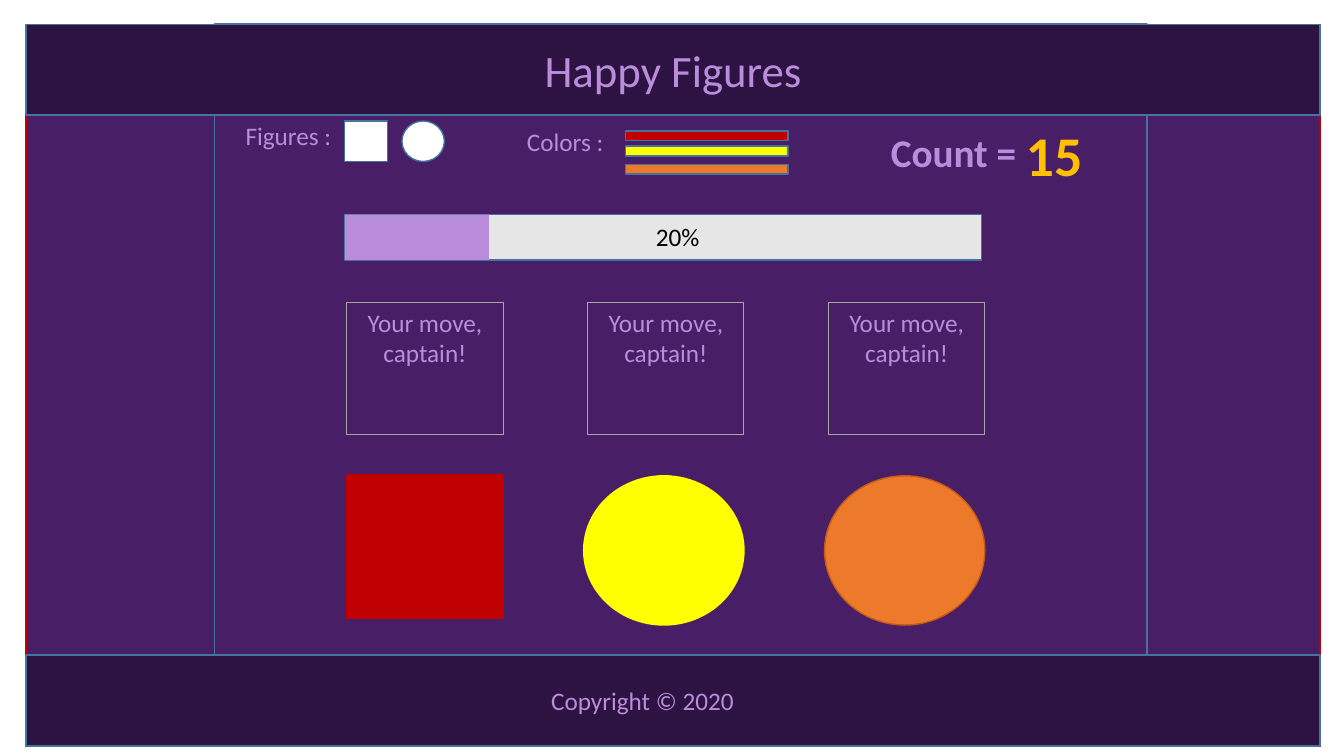
from dataclasses import dataclass
from typing import Optional

from pptx import Presentation
from pptx.dml.color import RGBColor
from pptx.enum.shapes import MSO_SHAPE
from pptx.enum.text import MSO_ANCHOR, MSO_AUTO_SIZE, PP_ALIGN
from pptx.util import Cm, Pt

RECTANGLE = MSO_SHAPE.RECTANGLE
OVAL = MSO_SHAPE.OVAL
TOP, MIDDLE = MSO_ANCHOR.TOP, MSO_ANCHOR.MIDDLE
LEFT, CENTER = PP_ALIGN.LEFT, PP_ALIGN.CENTER
NO_AUTOFIT = MSO_AUTO_SIZE.NONE

FONT = "Calibri"
TITLE_ONLY = 5
COLORS = {
    "purple": "481F67",
    "dark purple": "2D1341",
    "lilac": "BA8CDC",
    "blue": "43739E",
    "red": "C00000",
    "yellow": "FFFF00",
    "orange": "ED7A2B",
    "dark orange": "C55A11",
    "gold": "FFC000",
    "grey": "A6A6A6",
    "light grey": "E7E6E6",
    "white": "FFFFFF",
    "black": "000000",
}


@dataclass
class Box:
    """Position and size in centimetres."""
    left: float
    top: float
    width: float
    height: float

    def lengths(self) -> tuple:
        return Cm(self.left), Cm(self.top), Cm(self.width), Cm(self.height)


@dataclass
class Figure:
    box: Box
    fill: Optional[str] = None
    line: Optional[str] = "blue"
    kind: int = RECTANGLE
    line_width: float = 1


@dataclass
class Label:
    text: str
    box: Box
    size: int = 18
    color: str = "lilac"
    bold: bool = False


def rgb(name: str) -> RGBColor:
    return RGBColor.from_string(COLORS[name])


def paint(shape, fill: Optional[str], line: Optional[str], width: float = 1) -> None:
    if fill:
        shape.fill.solid()
        shape.fill.fore_color.rgb = rgb(fill)
    else:
        shape.fill.background()
    if line:
        shape.line.color.rgb = rgb(line)
        shape.line.width = Pt(width)
    else:
        shape.line.fill.background()


def write(shape, text: str, size: int = 18, color: str = "lilac", bold: bool = False,
          align: int = LEFT, anchor: int = TOP) -> None:
    frame = shape.text_frame
    frame.text = text
    frame.word_wrap = True
    frame.auto_size = NO_AUTOFIT
    frame.vertical_anchor = anchor
    paragraph = frame.paragraphs[0]
    paragraph.alignment = align
    font = paragraph.runs[0].font
    font.name, font.size, font.bold = FONT, Pt(size), bold
    font.color.rgb = rgb(color)


def draw_figure(slide, figure: Figure):
    shape = slide.shapes.add_shape(figure.kind, *figure.box.lengths())
    shape.shadow.inherit = False
    paint(shape, figure.fill, figure.line, figure.line_width)
    return shape


def draw_label(slide, label: Label) -> None:
    text_box = slide.shapes.add_textbox(*label.box.lengths())
    write(text_box, label.text, label.size, label.color, label.bold)


def draw_title(slide, text: str, box: Box) -> None:
    title = slide.shapes.title
    title.left, title.top, title.width, title.height = box.lengths()
    paint(title, "dark purple", "blue")
    write(title, text, size=32, align=CENTER, anchor=MIDDLE)
    # Bring the header in front of the panels
    slide.shapes.element.append(title.element)


PANELS = [
    Figure(Box(0.66, 0.89, 32.61, 17.93), "purple", "red"),
    Figure(Box(5.41, 0.61, 23.5, 17.93)),
]
HEADER = Box(0.66, 0.61, 32.61, 2.29)
FOOTER = Figure(Box(0.66, 16.51, 32.61, 2.29), "dark purple")

PLAYED_FIGURES = [
    Figure(Box(8.74, 11.96, 3.94, 3.61), "red", "red"),
    Figure(Box(14.71, 11.99, 4.04, 3.76), "yellow", "yellow", OVAL),
    Figure(Box(20.78, 11.99, 4.04, 3.76), "orange", "dark orange", OVAL),
]
PROMPT_COUNT, PROMPT_LEFT, PROMPT_STEP = 3, 8.74, 6.07

PROGRESS = [
    Figure(Box(8.69, 5.41, 16.05, 1.14), "light grey"),
    Figure(Box(8.69, 5.41, 3.63, 1.14), "lilac", None),
]
FIGURE_CHOICES = [
    Figure(Box(8.69, 3.05, 1.07, 1.02), "white"),
    Figure(Box(10.13, 3.05, 1.07, 1.02), "white", kind=OVAL),
]
COLOR_CHOICES = [
    Figure(Box(15.77, top, 4.09, 0.25), color)
    for top, color in ((3.3, "red"), (3.68, "yellow"), (4.14, "orange"))
]
LABELS = [
    Label("20%", Box(16.28, 5.44, 2.46, 1.02), color="black"),
    Label("Figures :", Box(5.94, 2.9, 3.02, 1.02)),
    Label("Colors :", Box(13.03, 3.05, 2.74, 1.02)),
    Label("Count =", Box(22.2, 3.12, 3.96, 1.45), 28, bold=True),
    Label("15", Box(25.6, 2.9, 2.29, 1.96), 40, "gold", True),
    Label("Copyright © 2020", Box(13.64, 17.15, 6.25, 1.02)),
]


def main() -> None:
    presentation = Presentation()
    presentation.slide_width, presentation.slide_height = Cm(33.87), Cm(19.05)
    slide = presentation.slides.add_slide(presentation.slide_layouts[TITLE_ONLY])

    # Panels, header and footer
    for panel in PANELS:
        draw_figure(slide, panel)
    draw_title(slide, "Happy Figures", HEADER)
    draw_figure(slide, FOOTER)

    # Figures in play, progress bar and choices
    for figure in PLAYED_FIGURES + PROGRESS + FIGURE_CHOICES + COLOR_CHOICES:
        draw_figure(slide, figure)

    # Prompts above the figures
    for index in range(PROMPT_COUNT):
        box = Box(PROMPT_LEFT + index * PROMPT_STEP, 7.62, 3.94, 3.33)
        prompt = draw_figure(slide, Figure(box, line="grey", line_width=0.75))
        write(prompt, "Your move, captain!", align=CENTER)

    # Labels
    for label in LABELS:
        draw_label(slide, label)

    presentation.save("out.pptx")


if __name__ == "__main__":
    main()
